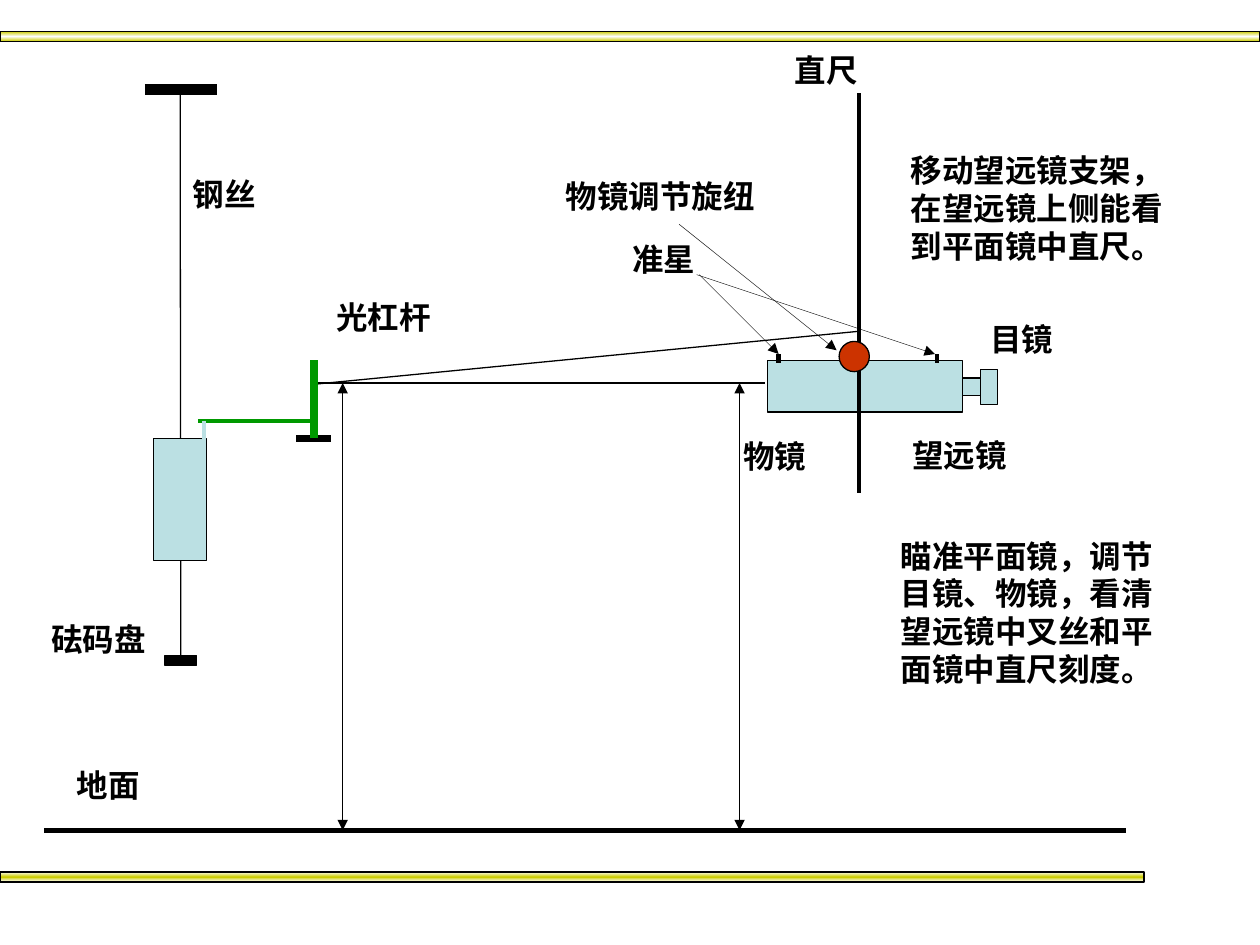
from copy import deepcopy
from dataclasses import dataclass

from pptx import Presentation
from pptx.dml.color import RGBColor
from pptx.enum.shapes import MSO_CONNECTOR, MSO_SHAPE
from pptx.oxml.ns import qn
from pptx.util import Inches, Pt
from lxml import etree

RECT = MSO_SHAPE.RECTANGLE
OVAL = MSO_SHAPE.OVAL
STRAIGHT = MSO_CONNECTOR.STRAIGHT
BLANK = 6
BOTTOM = 2


@dataclass(frozen=True)
class Theme:
    ink: str = "000000"
    paper: str = "FFFFFF"
    gold: str = "CCCC00"
    glass: str = "BBE0E3"
    green: str = "009900"
    red: str = "CC3300"
    sans: str = "Arial"
    serif: str = "Times New Roman"
    size: float = 18
    thin: float = 0.25
    line: float = 0.75
    bold: float = 2.25
    heavy: float = 3
    thick: float = 4.5
    beam: float = 6


THEME = Theme()


def rgb(code):
    return RGBColor.from_string(code)


def add_box(slide, at, fill, kind=RECT):
    box = slide.shapes.add_shape(kind, *map(Inches, at))
    box.shadow.inherit = False
    box.fill.solid()
    box.fill.fore_color.rgb = rgb(fill)
    box.line.color.rgb = rgb(THEME.ink)
    box.line.width = Pt(THEME.line)
    return box


def add_bar(slide, at, edge, core):
    """Add a bar that shades from edge to core and back, top to bottom."""
    bar = add_box(slide, at, edge)
    bar.fill.gradient()
    bar.fill.gradient_angle = 90
    stops = bar._element.spPr.find(".//" + qn("a:gsLst"))
    stops.insert(1, deepcopy(stops[0]))
    for stop, place, code in zip(bar.fill.gradient_stops, (0, 0.5, 1), (edge, core, edge)):
        stop.position = place
        stop.color.rgb = rgb(code)


def add_line(slide, start, end, width=THEME.line, color=THEME.ink, ends=()):
    """Add a straight line; ends names the ends with arrowheads, head first."""
    line = slide.shapes.add_connector(STRAIGHT, *map(Inches, start + end))
    line.line.color.rgb = rgb(color)
    line.line.width = Pt(width)
    for name in ends:
        etree.SubElement(line.line._get_or_add_ln(), qn(f"a:{name}End"), type="triangle")
    etree.SubElement(line._element.spPr, qn("a:effectLst"))
    return line


def add_text(slide, at, words, font):
    frame = slide.shapes.add_textbox(*map(Inches, at)).text_frame
    frame.word_wrap = True
    run = frame.paragraphs[0].add_run()
    run.text = words
    run.font.name = font
    run.font.size = Pt(THEME.size)
    run.font.bold = True
    run.font.color.rgb = rgb(THEME.ink)


def draw_rays(slide):
    add_line(slide, (2.48, 3.04), (6.07, 3.04))
    add_line(slide, (2.49, 3.05), (6.81, 2.63))


def draw_wire(slide):
    add_line(slide, (1.15, 0.71), (1.72, 0.71), THEME.beam)
    pan = add_box(slide, (1.31, 5.2, 0.25, 0.08), THEME.ink)
    wire = add_line(slide, (1.43, 0.71), (1.43, 5.28))
    wire.end_connect(pan, BOTTOM)
    add_box(slide, (1.22, 3.48, 0.42, 0.97), THEME.glass)


def draw_lever(slide):
    add_line(slide, (2.35, 3.48), (2.63, 3.48), THEME.thick)
    add_line(slide, (1.57, 3.34), (2.49, 3.34), THEME.bold, THEME.green)
    add_line(slide, (2.49, 2.86), (2.49, 3.48), THEME.thick, THEME.green)
    add_line(slide, (1.62, 3.34), (1.62, 3.5), THEME.bold, THEME.glass)


def draw_scope(slide):
    for at in ((6.09, 2.86, 1.55, 0.41), (7.64, 3, 0.14, 0.14), (7.78, 2.93, 0.14, 0.28)):
        add_box(slide, at, THEME.glass)
    add_line(slide, (6.82, 0.74), (6.82, 3.91), THEME.bold)
    add_line(slide, (5.39, 1.78), (6.64, 2.78), THEME.thin, ends=("tail",))
    add_box(slide, (6.66, 2.71, 0.24, 0.24), THEME.red, OVAL)
    for x, width in ((7.44, THEME.bold), (6.18, THEME.heavy)):
        add_line(slide, (x, 2.88), (x, 2.81), width)
    for x, tip in ((5.53, 7.42), (5.55, 6.18)):
        add_line(slide, (x, 2.18), (tip, 2.81), THEME.thin, ends=("tail",))


def draw_ground(slide):
    add_line(slide, (0.35, 6.59), (8.94, 6.59), THEME.heavy)
    for x in (2.72, 5.87):
        add_line(slide, (x, 3.04), (x, 6.59), ends=("head", "tail"))


def main():
    deck = Presentation()
    deck.slide_width, deck.slide_height = Inches(10), Inches(7.5)
    slide = deck.slides.add_slide(deck.slide_layouts[BLANK])

    add_bar(slide, (0, 0.25, 10, 0.08), THEME.gold, THEME.paper)
    add_bar(slide, (0, 6.92, 9.08, 0.08), THEME.paper, THEME.gold)
    for draw in (draw_rays, draw_wire, draw_lever, draw_scope, draw_ground):
        draw(slide)

    labels = (
        (6.21, 0.36, 0.8, "直尺", THEME.sans),
        (7.14, 3.41, 1.13, "望远镜", THEME.sans),
        (7.76, 2.49, 0.88, "目镜", THEME.sans),
        (5.8, 3.42, 1.13, "物镜", THEME.sans),
        (1.43, 1.34, 0.78, "钢丝", THEME.sans),
        (0.31, 4.87, 0.99, "砝码盘", THEME.sans),
        (4.39, 1.36, 2.17, "物镜调节旋纽", THEME.serif),
        (4.92, 1.86, 1.02, "准星", THEME.serif),
        (2.57, 2.32, 1.18, "光杠杆", THEME.serif),
        (0.51, 6.03, 1.1, "地面", THEME.serif),
    )
    for x, y, wide, words, font in labels:
        add_text(slide, (x, y, wide, 0.4), words, font)

    notes = (
        ((7.13, 1.15, 2.44, 1), "移动望远镜支架，在望远镜上侧能看到平面镜中直尺。"),
        ((7.05, 4.21, 2.44, 1.3), "瞄准平面镜，调节目镜、物镜，看清望远镜中叉丝和平面镜中直尺刻度。"),
    )
    for at, words in notes:
        add_text(slide, at, words, THEME.serif)

    deck.save("out.pptx")


if __name__ == "__main__":
    main()
